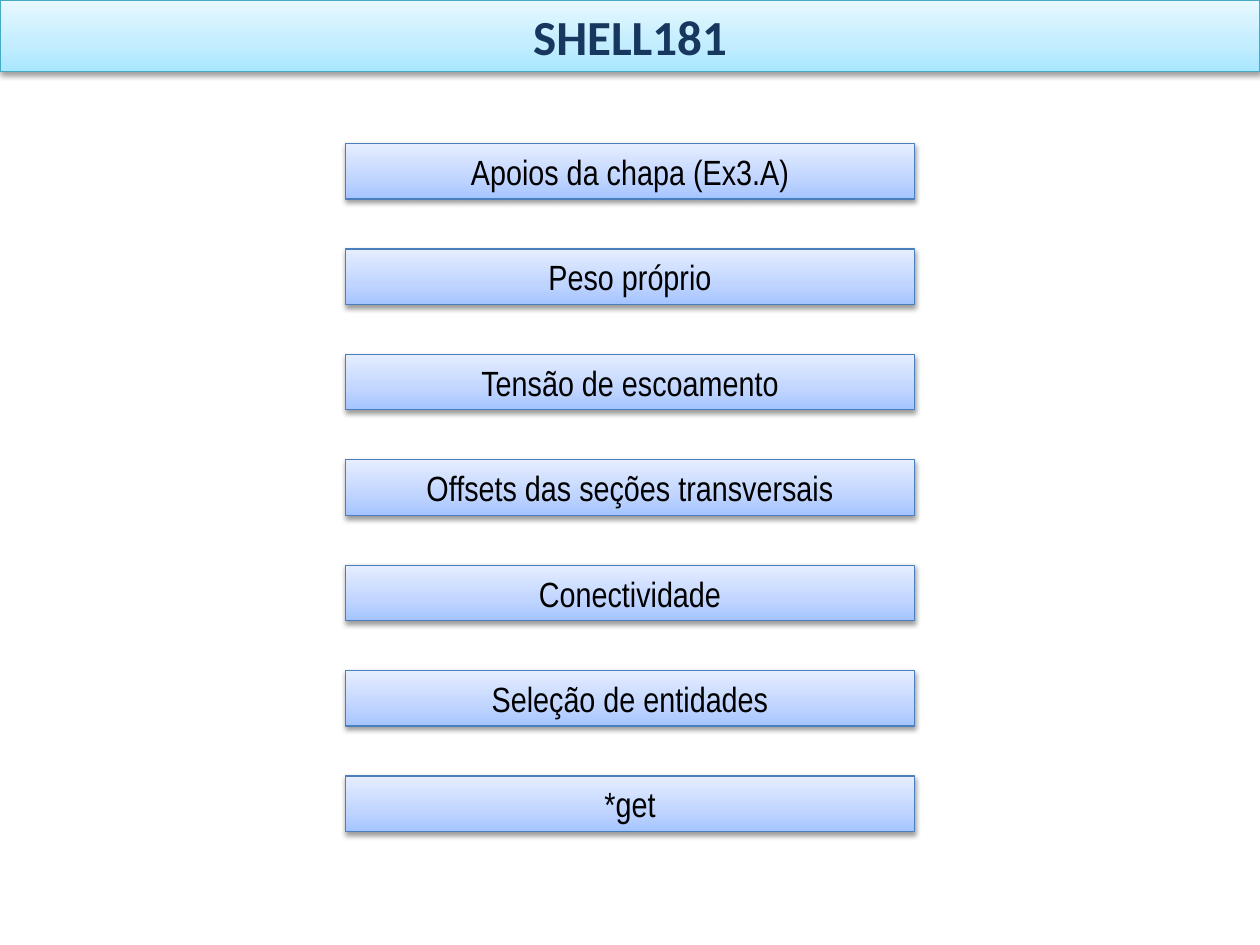
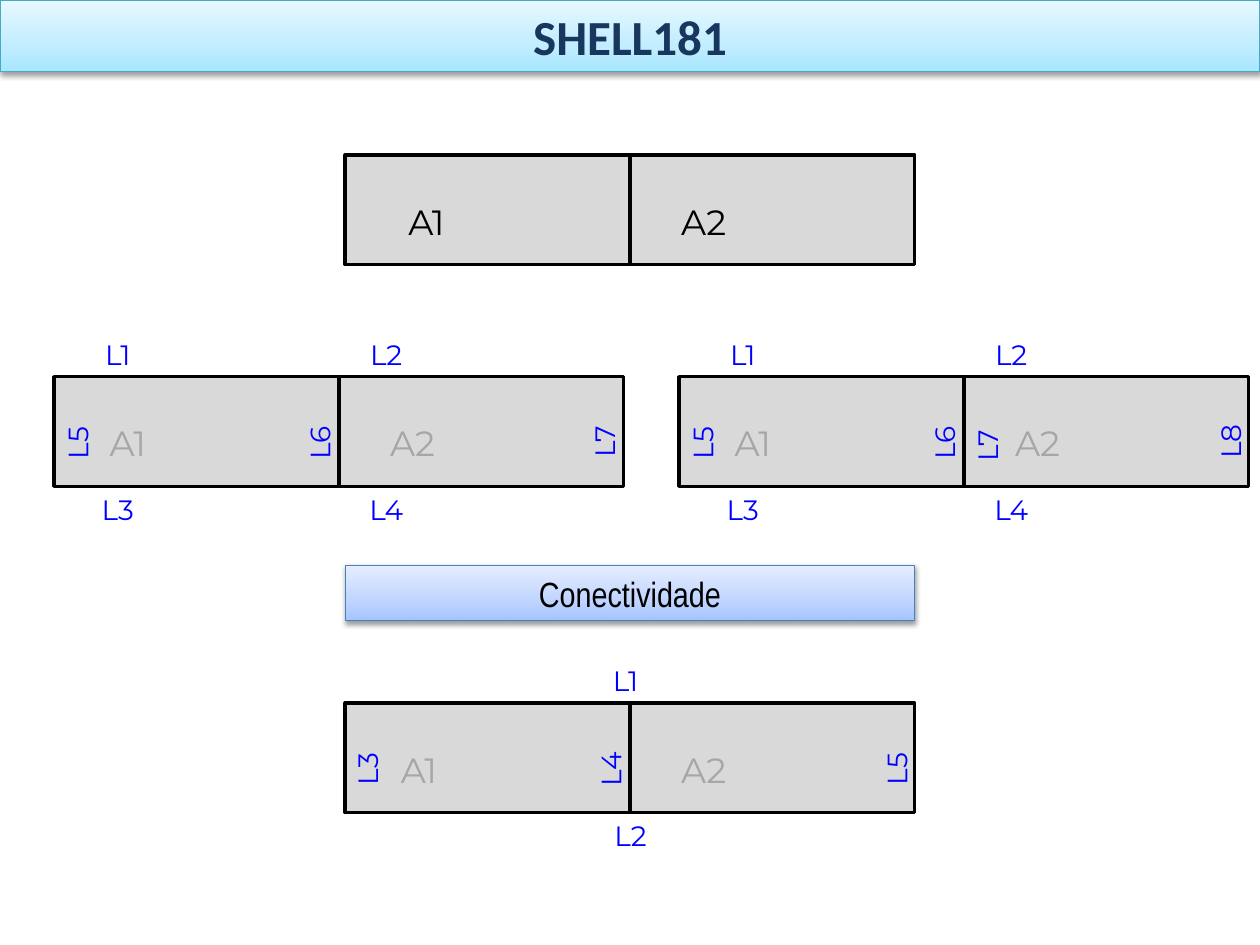
from copy import deepcopy

from lxml import etree
from pptx import Presentation
from pptx.dml.color import RGBColor
from pptx.enum.shapes import MSO_SHAPE
from pptx.enum.text import MSO_ANCHOR, MSO_AUTO_SIZE, PP_ALIGN
from pptx.oxml.ns import qn
from pptx.util import Inches, Pt

RECT = MSO_SHAPE.RECTANGLE
MIDDLE, TOP = MSO_ANCHOR.MIDDLE, MSO_ANCHOR.TOP
CENTER = PP_ALIGN.CENTER
NO_AUTOFIT = MSO_AUTO_SIZE.NONE

BLACK = RGBColor(0x00, 0x00, 0x00)
NAVY = RGBColor(0x17, 0x37, 0x5E)
BLUE = RGBColor(0x00, 0x00, 0xFF)
GREY = RGBColor(0xA6, 0xA6, 0xA6)
PLATE_GREY = RGBColor(0xD9, 0xD9, 0xD9)
BAND_LINE = RGBColor(0x46, 0xAA, 0xC5)
TOPIC_LINE = RGBColor(0x4B, 0x7E, 0xBC)
BAND_STOPS = (RGBColor(0xA7, 0xE6, 0xFF), RGBColor(0xC1, 0xED, 0xFF), RGBColor(0xE7, 0xF8, 0xFF))
TOPIC_STOPS = (RGBColor(0xA4, 0xC4, 0xFF), RGBColor(0xBF, 0xD4, 0xFF), RGBColor(0xE6, 0xEE, 0xFF))
STOP_POSITIONS = (0, 0.35, 1)

SLIDE_W, SLIDE_H = 10, 7.5
BAND_H = 0.57
AREA_W, AREA_H = 2.26, 0.87
PLATE_W = 2 * AREA_W
CENTRED_X = (SLIDE_W - PLATE_W) / 2
TOPIC_H = 0.44
FIRST_TOPIC_Y, LAST_TOPIC_Y = 1.14, 6.16
AREA_LABEL = (0.87, 0.44)
LINE_LABEL = (0.69, 0.37)
ABOVE, BESIDE, BELOW = -0.36, 0.34, AREA_H

TOPICS = ["Apoios da chapa (Ex3.A)", "Peso próprio", "Tensão de escoamento",
          "Offsets das seções transversais", "Conectividade",
          "Seleção de entidades", "*get"]

# Line labels: text, offset from the plate's left edge, offset from its top
OUTER_LINES = [("L1", 0.16, ABOVE), ("L2", 2.29, ABOVE),
               ("L3", 0.16, BELOW), ("L4", 2.29, BELOW),
               ("L5", -0.16, BESIDE), ("L6", 1.76, BESIDE)]
SHARED_EDGE = OUTER_LINES + [("L7", 4.02, BESIDE - 0.01)]
SEPARATE_EDGES = OUTER_LINES + [("L7", 2.1, BESIDE + 0.02), ("L8", 4.03, BESIDE - 0.01)]
MERGED_EDGES = [("L1", 1.88, ABOVE), ("L2", 1.92, BELOW), ("L3", -0.17, BESIDE),
                ("L4", 1.76, BESIDE), ("L5", 4.03, BESIDE)]


def place(sp, left, top, width, height):
    sp.left, sp.top = Inches(left), Inches(top)
    sp.width, sp.height = Inches(width), Inches(height)


def write(sp, text, font, size, color, bold=False, anchor=MIDDLE):
    tf = sp.text_frame
    tf.word_wrap = True
    tf.auto_size = NO_AUTOFIT
    tf.vertical_anchor = anchor
    p = tf.paragraphs[0]
    p.text = text
    p.alignment = CENTER
    p.font.name, p.font.size, p.font.bold = font, Pt(size), bold
    p.font.color.rgb = color


def add_glow_style(sp, colors, line_color):
    """Give a shape an upward gradient, a thin outline and a soft shadow."""
    sp.fill.gradient()
    sp.fill.gradient_angle = 90
    stop_list = sp.element.spPr.find(qn("a:gradFill")).find(qn("a:gsLst"))
    stop_list.append(deepcopy(stop_list[-1]))
    for stop, color, position in zip(sp.fill.gradient_stops, colors, STOP_POSITIONS):
        stop.color.rgb = color
        stop.position = position
    sp.line.color.rgb = line_color
    sp.line.width = Pt(0.75)
    sp.shadow.inherit = False
    effects = sp.element.spPr.find(qn("a:effectLst"))
    shadow = etree.SubElement(effects, qn("a:outerShdw"), blurRad=str(Pt(3.1)),
                              dist=str(Pt(1.6)), dir="5400000", rotWithShape="0")
    color = etree.SubElement(shadow, qn("a:srgbClr"), val=str(BLACK))
    etree.SubElement(color, qn("a:alpha"), val="38000")


def add_titled_slide(prs, title):
    s = prs.slides.add_slide(prs.slide_layouts[5])
    band = s.shapes.title
    place(band, 0, 0, SLIDE_W, BAND_H)
    add_glow_style(band, BAND_STOPS, BAND_LINE)
    write(band, title, "Calibri", 28, NAVY, bold=True)
    return s


def add_topic(s, row):
    pitch = (LAST_TOPIC_Y - FIRST_TOPIC_Y) / (len(TOPICS) - 1)
    sp = s.shapes.add_shape(RECT, 0, 0, 0, 0)
    place(sp, CENTRED_X, FIRST_TOPIC_Y + row * pitch, PLATE_W, TOPIC_H)
    add_glow_style(sp, TOPIC_STOPS, TOPIC_LINE)
    write(sp, TOPICS[row], "Arial Narrow", 20, BLACK)


def add_label(s, text, left, top, box, size, color, rotation=0):
    sp = s.shapes.add_textbox(0, 0, 0, 0)
    place(sp, left, top, *box)
    sp.rotation = rotation
    write(sp, text, "Montserrat", size, color, anchor=TOP)


def add_plate(s, left, top, lines=(), area_color=GREY, first_label_x=0.15):
    """Draw two adjoining areas with their names and line labels."""
    for column in range(2):
        sp = s.shapes.add_shape(RECT, 0, 0, 0, 0)
        place(sp, left + column * AREA_W, top, AREA_W, AREA_H)
        sp.fill.solid()
        sp.fill.fore_color.rgb = PLATE_GREY
        sp.line.color.rgb = BLACK
        sp.line.width = Pt(2)
        sp.shadow.inherit = False
    for column, offset in enumerate((first_label_x, 0.15)):
        add_label(s, f"A{column + 1}", left + column * AREA_W + offset, top + 0.31,
                  AREA_LABEL, 20, area_color)
    for text, dx, dy in lines:
        rotation = 0 if dy in (ABOVE, BELOW) else 270
        add_label(s, text, left + dx, top + dy, LINE_LABEL, 16, BLUE, rotation)


def main():
    prs = Presentation()
    prs.slide_width, prs.slide_height = Inches(SLIDE_W), Inches(SLIDE_H)

    s = add_titled_slide(prs, "SHELL181")
    for row in range(len(TOPICS)):
        add_topic(s, row)

    s = add_titled_slide(prs, "SHELL181")
    add_topic(s, TOPICS.index("Conectividade"))
    add_plate(s, CENTRED_X, 1.23, area_color=BLACK, first_label_x=0.21)
    add_plate(s, 0.43, 2.99, SHARED_EDGE)
    add_plate(s, 5.39, 2.99, SEPARATE_EDGES)
    add_plate(s, CENTRED_X, 5.58, MERGED_EDGES)

    prs.save("out.pptx")


if __name__ == "__main__":
    main()
